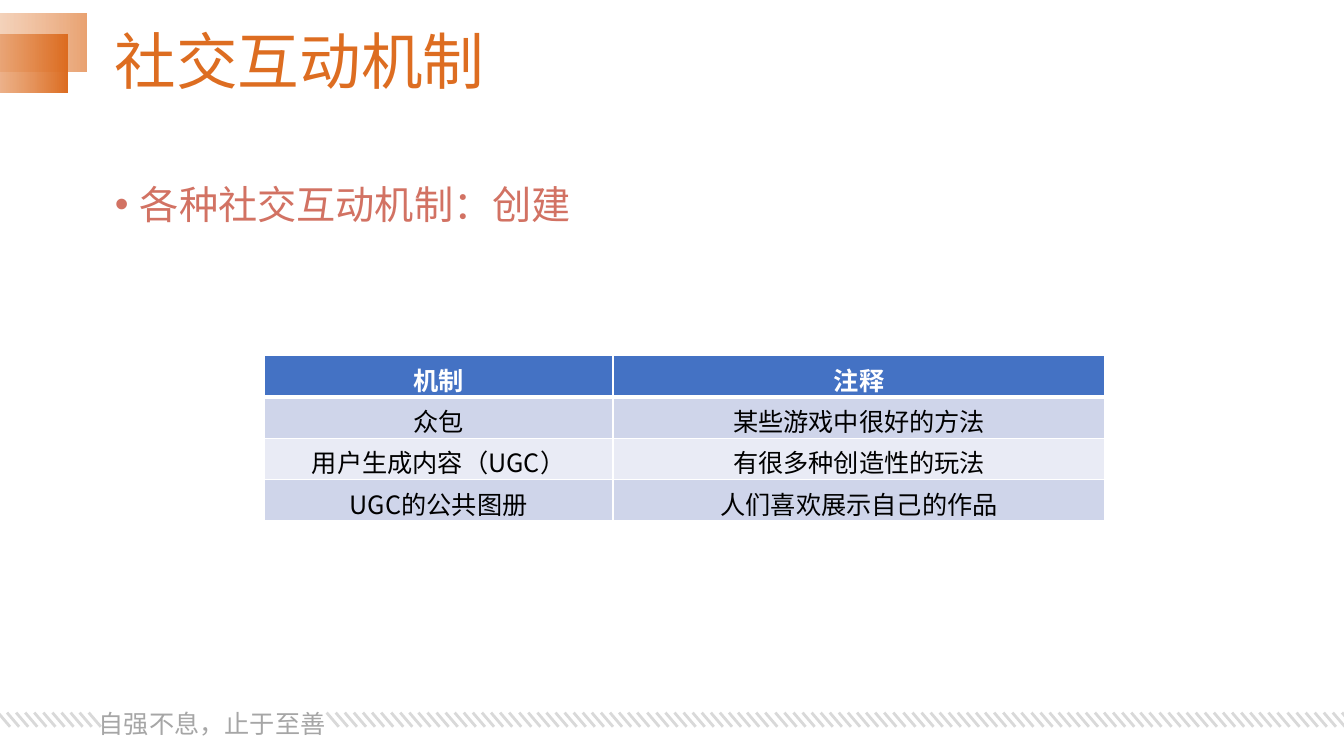
from dataclasses import dataclass

from lxml.etree import SubElement
from pptx import Presentation
from pptx.dml.color import RGBColor
from pptx.enum.shapes import MSO_CONNECTOR, MSO_SHAPE
from pptx.enum.text import MSO_ANCHOR, MSO_AUTO_SIZE, PP_ALIGN
from pptx.oxml import parse_xml
from pptx.oxml.ns import nsdecls, qn
from pptx.slide import Slide
from pptx.table import _Cell
from pptx.text.text import _Paragraph
from pptx.util import Emu, Pt

PX = 9144  # one hundredth of an inch

ORANGE = RGBColor(0xDD, 0x6D, 0x21)
PEACH = RGBColor(0xEA, 0xA3, 0x72)
CORAL = RGBColor(0xD2, 0x72, 0x63)
BLUE = RGBColor(0x44, 0x72, 0xC4)
BAND = RGBColor(0xCF, 0xD5, 0xEA)
PALE = RGBColor(0xE9, 0xEB, 0xF5)
GRAY = RGBColor(0xA6, 0xA6, 0xA6)
SILVER = RGBColor(0xD9, 0xD9, 0xD9)
WHITE = RGBColor(0xFF, 0xFF, 0xFF)
BLACK = RGBColor(0, 0, 0)

SANS = "Noto Sans CJK SC"
MOTTO = "Noto Sans CJK JP"


@dataclass
class Block:
    left: int
    top: int
    color: RGBColor
    alpha: int  # opacity of the white end, in percent


@dataclass
class Hatch:
    first: int
    last: int
    count: int


@dataclass
class Label:
    text: str
    left: int
    top: int
    width: int
    height: int
    size: int
    color: RGBColor
    font: str = SANS
    space: float = 0.9
    anchor: MSO_ANCHOR = MSO_ANCHOR.TOP
    align: PP_ALIGN = PP_ALIGN.LEFT
    bullet: bool = False
    grow: bool = False


BLOCKS = [Block(-159, 13, PEACH, 25), Block(-178, 34, ORANGE, 0)]
HATCHES = [Hatch(-2, 88, 11), Hatch(324, 1331, 112)]
LABELS = [
    Label("自强不息，止于至善", 88, 683, 246, 52, 18, GRAY, font=MOTTO,
          space=1.5, align=PP_ALIGN.JUSTIFY, grow=True),
    Label("社交互动机制", 104, 11, 1150, 107, 44, ORANGE,
          anchor=MSO_ANCHOR.MIDDLE),
    Label("各种社交互动机制：创建", 104, 179, 1150, 484, 28, CORAL,
          bullet=True),
]
ROWS = [
    ("机制", "注释"),
    ("众包", "某些游戏中很好的方法"),
    ("用户生成内容（UGC）", "有很多种创造性的玩法"),
    ("UGC的公共图册", "人们喜欢展示自己的作品"),
]
WIDTHS = (346, 488)
HEIGHT = 41


def px(num: int) -> Emu:
    return Emu(num * PX)


def style(para: _Paragraph, size: int, color: RGBColor, font: str,
          bold: bool = False) -> None:
    for run in para.runs:
        run.font.size = Pt(size)
        run.font.bold = bold
        run.font.color.rgb = color
        run.font.name = font
        SubElement(run.font._element, qn("a:ea")).set("typeface", font)


def add_block(slide: Slide, block: Block) -> None:
    shape = slide.shapes.add_shape(
        MSO_SHAPE.RECTANGLE, px(block.left), px(block.top), px(245), px(58))
    shape.shadow.inherit = False
    shape.line.fill.background()
    shape.fill.gradient()
    shape.fill.gradient_angle = 0
    start, end = shape.fill.gradient_stops
    start.color.rgb = WHITE
    end.color.rgb = block.color
    tone = shape._element.spPr.find(".//" + qn("a:srgbClr"))
    SubElement(tone, qn("a:alpha")).set("val", str(block.alpha * 1000))


def add_hatch(slide: Slide, hatch: Hatch) -> None:
    span = hatch.last - hatch.first
    for step in range(hatch.count):
        left = hatch.first + round(span * step / (hatch.count - 1))
        line = slide.shapes.add_connector(
            MSO_CONNECTOR.STRAIGHT, px(left), px(707), px(left + 12), px(721))
        line.line.color.rgb = SILVER
        line.line.width = Pt(2)
        SubElement(line._element.spPr, qn("a:effectLst"))


def add_label(slide: Slide, label: Label) -> None:
    box = slide.shapes.add_textbox(
        px(label.left), px(label.top), px(label.width), px(label.height))
    frame = box.text_frame
    frame.text = label.text
    frame.word_wrap = True
    frame.vertical_anchor = label.anchor
    if label.grow:
        frame.auto_size = MSO_AUTO_SIZE.SHAPE_TO_FIT_TEXT
    para = frame.paragraphs[0]
    para.alignment = label.align
    para.line_spacing = label.space
    if label.bullet:
        props = para._p.get_or_add_pPr()
        props.set("marL", str(px(25)))
        props.set("indent", str(px(-25)))
        SubElement(props, qn("a:buFont")).set("typeface", "Arial")
        SubElement(props, qn("a:buChar")).set("char", "•")
    style(para, label.size, label.color, label.font)


def add_edges(cell: _Cell, top: int, low: int) -> None:
    props = cell._tc.get_or_add_tcPr()
    edges = {"lnL": 1, "lnR": 1, "lnT": top, "lnB": low}
    for spot, (tag, width) in enumerate(edges.items()):
        props.insert(spot, parse_xml(
            f'<a:{tag} {nsdecls("a")} w="{Pt(width)}"><a:solidFill>'
            f'<a:srgbClr val="{WHITE}"/></a:solidFill></a:{tag}>'))


def add_grid(slide: Slide) -> None:
    table = slide.shapes.add_table(
        len(ROWS), len(WIDTHS), px(262), px(353),
        px(sum(WIDTHS)), px(HEIGHT * len(ROWS))).table
    for col, width in zip(table.columns, WIDTHS):
        col.width = px(width)
    for row, texts in enumerate(ROWS):
        head = row == 0
        for col, text in enumerate(texts):
            cell = table.cell(row, col)
            cell.text_frame.text = text
            cell.fill.solid()
            cell.fill.fore_color.rgb = (
                BLUE if head else BAND if row % 2 else PALE)
            add_edges(cell, 3 if row == 1 else 1, 3 if head else 1)
            para = cell.text_frame.paragraphs[0]
            para.alignment = PP_ALIGN.CENTER
            style(para, 18, WHITE if head else BLACK, SANS, head)


def main() -> None:
    deck = Presentation()
    deck.slide_width, deck.slide_height = px(1333), px(750)
    slide = deck.slides.add_slide(deck.slide_layouts[6])

    # Corner blocks and footer hatching
    for block in BLOCKS:
        add_block(slide, block)
    for hatch in HATCHES:
        add_hatch(slide, hatch)

    # Motto, title and bullet
    for label in LABELS:
        add_label(slide, label)

    # Table of mechanisms
    add_grid(slide)
    deck.save("out.pptx")


if __name__ == "__main__":
    main()
